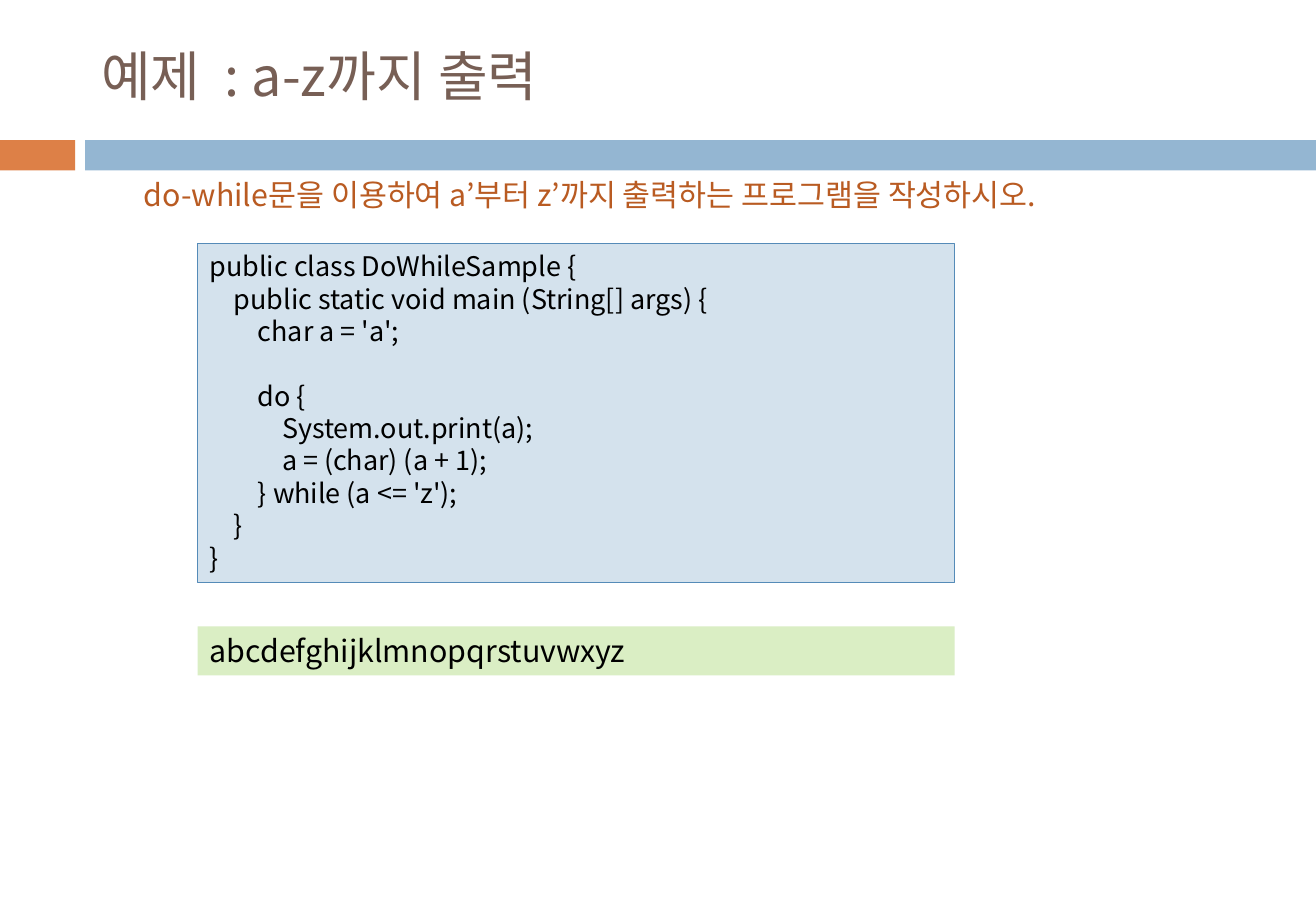
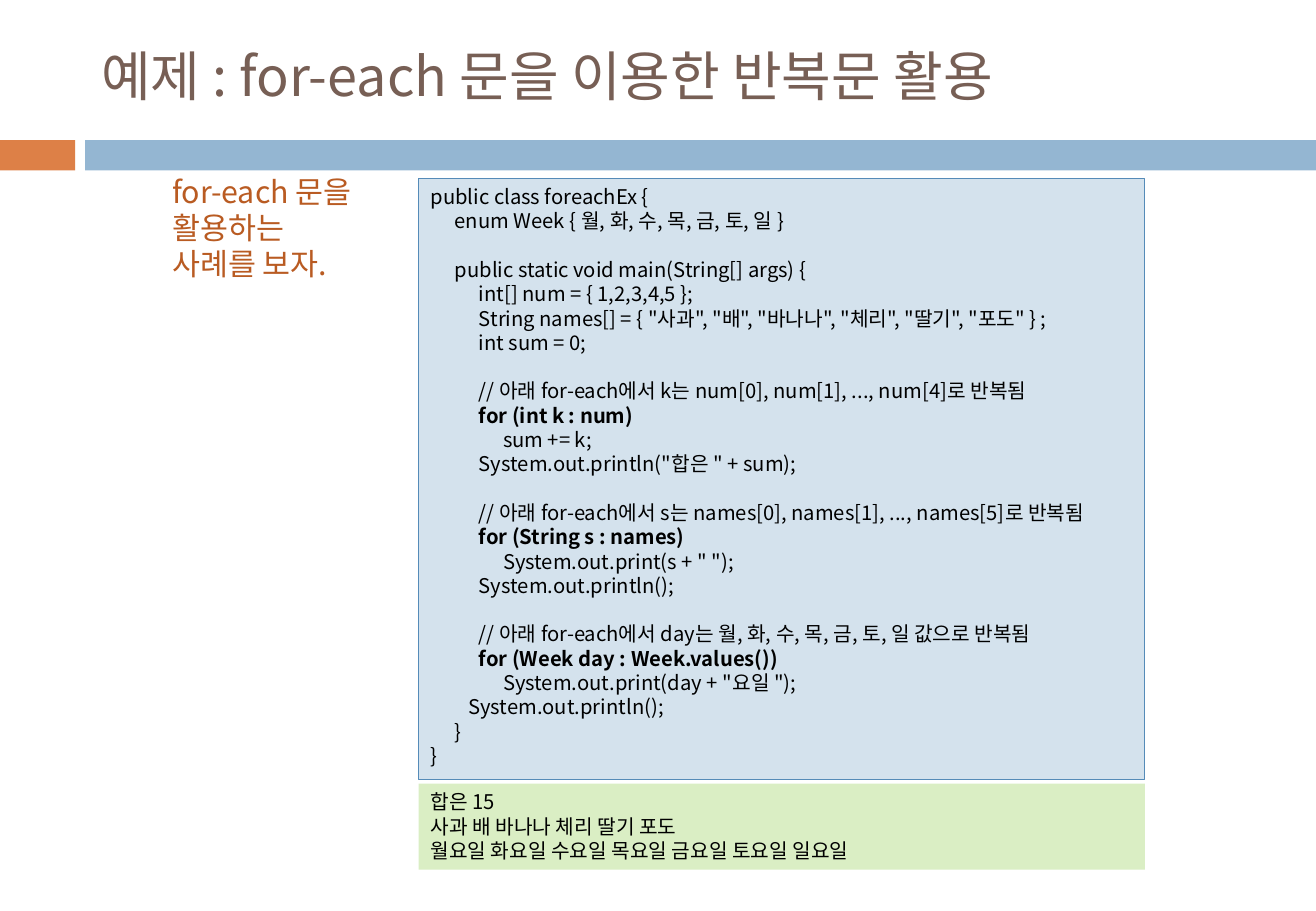
from dataclasses import dataclass

from lxml.etree import SubElement
from pptx import Presentation
from pptx.dml.color import RGBColor
from pptx.enum.shapes import MSO_SHAPE
from pptx.enum.text import MSO_ANCHOR, PP_ALIGN
from pptx.oxml.ns import qn
from pptx.util import Pt


@dataclass(frozen=True)
class Theme:
    font: str = "Noto Sans CJK KR"
    # Colours
    title: str = "775F55"
    prompt: str = "B95B22"
    text: str = "000000"
    accent: str = "DD8047"
    band: str = "94B6D2"
    code_fill: str = "D4E2ED"
    code_line: str = "558BB8"
    output_fill: str = "DAEEC4"
    # Type sizes and spacing
    title_size: float = 32
    prompt_size: float = 18
    line_height: float = 1.2
    tab_width: float = 14.3


THEME = Theme()
SLIDE_WIDTH, SLIDE_HEIGHT = 780, 540
INDENT = 4  # spaces that stand for one tab in a listing

DO_WHILE_CODE = """\
public class DoWhileSample {
    public static void main (String[] args) {
        char a = 'a';

        do {
            System.out.print(a);
            a = (char) (a + 1);
        } while (a <= 'z');
    }
}"""

FOR_EACH_CODE = """\
public class foreachEx {
    enum Week { 월, 화, 수, 목, 금, 토, 일 }

    public static void main(String[] args) {
        int[] num = { 1,2,3,4,5 };
        String names[] = { "사과", "배", "바나나", "체리", "딸기", "포도" } ;
        int sum = 0;

        // 아래 for-each에서 k는 num[0], num[1], ..., num[4]로 반복됨
        for (int k : num)
            sum += k;
        System.out.println("합은 " + sum);

        // 아래 for-each에서 s는 names[0], names[1], ..., names[5]로 반복됨
        for (String s : names)
            System.out.print(s + " ");
        System.out.println();

        // 아래 for-each에서 day는 월, 화, 수, 목, 금, 토, 일 값으로 반복됨
        for (Week day : Week.values())
            System.out.print(day + "요일 ");
       System.out.println();
    }
}"""

FOR_EACH_OUTPUT = """\
합은 15
사과 배 바나나 체리 딸기 포도
월요일 화요일 수요일 목요일 금요일 토요일 일요일"""


# Text
def add_tab_stops(paragraph, count):
    tab_list = SubElement(paragraph._p.get_or_add_pPr(), qn("a:tabLst"))
    for number in range(1, count + 1):
        position = Pt(THEME.tab_width * number)
        SubElement(tab_list, qn("a:tab"), pos=str(position), algn="l")


def add_run(paragraph, text, size, color, bold=False):
    run = paragraph.add_run()
    run.text = text
    formats = {"name": THEME.font, "size": Pt(size), "bold": bold}
    for attribute, value in formats.items():
        setattr(run.font, attribute, value)
    run.font.color.rgb = RGBColor.from_string(color)
    SubElement(run.font._element, qn("a:ea"), typeface=THEME.font)


def write_lines(shape, text, size, color, anchor=MSO_ANCHOR.TOP):
    frame = shape.text_frame
    formats = {"word_wrap": True, "vertical_anchor": anchor}
    for attribute, value in formats.items():
        setattr(frame, attribute, value)
    for number, line in enumerate(text.split("\n")):
        paragraph = frame.add_paragraph() if number else frame.paragraphs[0]
        paragraph.alignment = PP_ALIGN.LEFT
        paragraph.line_spacing = Pt(size * THEME.line_height)
        body = line.lstrip()
        tabs, spaces = divmod(len(line) - len(body), INDENT)
        if tabs:
            add_tab_stops(paragraph, tabs)
        add_run(paragraph, "\t" * tabs + " " * spaces + body, size, color,
                bold=body.startswith("for ("))


# Shapes
def add_box(slide, bounds, fill, line=None):
    shape = slide.shapes.add_shape(MSO_SHAPE.RECTANGLE, *map(Pt, bounds))
    shape.shadow.inherit = False
    shape.fill.solid()
    shape.fill.fore_color.rgb = RGBColor.from_string(fill)
    if line:
        shape.line.color.rgb = RGBColor.from_string(line)
        shape.line.width = Pt(0.75)
    else:
        shape.line.fill.background()
    return shape


def add_label(slide, bounds, text, size, color, anchor=MSO_ANCHOR.TOP):
    shape = slide.shapes.add_textbox(*map(Pt, bounds))
    write_lines(shape, text, size, color, anchor)


def add_prompt(slide, bounds, text):
    add_label(slide, bounds, text, THEME.prompt_size, THEME.prompt)


def add_code(slide, bounds, text, size):
    shape = add_box(slide, bounds, THEME.code_fill, THEME.code_line)
    write_lines(shape, text, size, THEME.text)


def add_output(slide, bounds, text, size):
    shape = add_box(slide, bounds, THEME.output_fill)
    write_lines(shape, text, size, THEME.text)


# Slide frame: bands and title
def add_example_slide(presentation, title):
    slide = presentation.slides.add_slide(presentation.slide_layouts[6])
    add_box(slide, (0, 83, 44.6, 18), THEME.accent)
    add_box(slide, (50.4, 83, SLIDE_WIDTH - 50.4, 18), THEME.band)
    add_label(slide, (52.8, 18, 695.5, 53.3), title,
              THEME.title_size, THEME.title, MSO_ANCHOR.MIDDLE)
    return slide


def main():
    presentation = Presentation()
    presentation.slide_width = Pt(SLIDE_WIDTH)
    presentation.slide_height = Pt(SLIDE_HEIGHT)

    # do-while
    slide = add_example_slide(presentation, "예제  : a-z까지 출력")
    add_code(slide, (117.2, 144.5, 448.6, 201), DO_WHILE_CODE, 16)
    add_prompt(slide, (78.2, 101, 615.6, 29),
               "do-while문을 이용하여 a’부터 z’까지 출력하는 프로그램을 작성하시오.")
    add_output(slide, (117.2, 371.3, 448.6, 29),
               "abcdefghijklmnopqrstuvwxyz", 18)

    # for-each
    slide = add_example_slide(presentation,
                              "예제 : for-each 문을 이용한 반복문 활용")
    add_prompt(slide, (95, 98.8, 142, 72.7),
               "for-each 문을\n활용하는\n사례를 보자.")
    add_code(slide, (248.2, 105.8, 430.4, 356.2), FOR_EACH_CODE, 12)
    add_output(slide, (248.2, 464.5, 430.4, 51), FOR_EACH_OUTPUT, 12)

    presentation.save("out.pptx")


if __name__ == "__main__":
    main()
